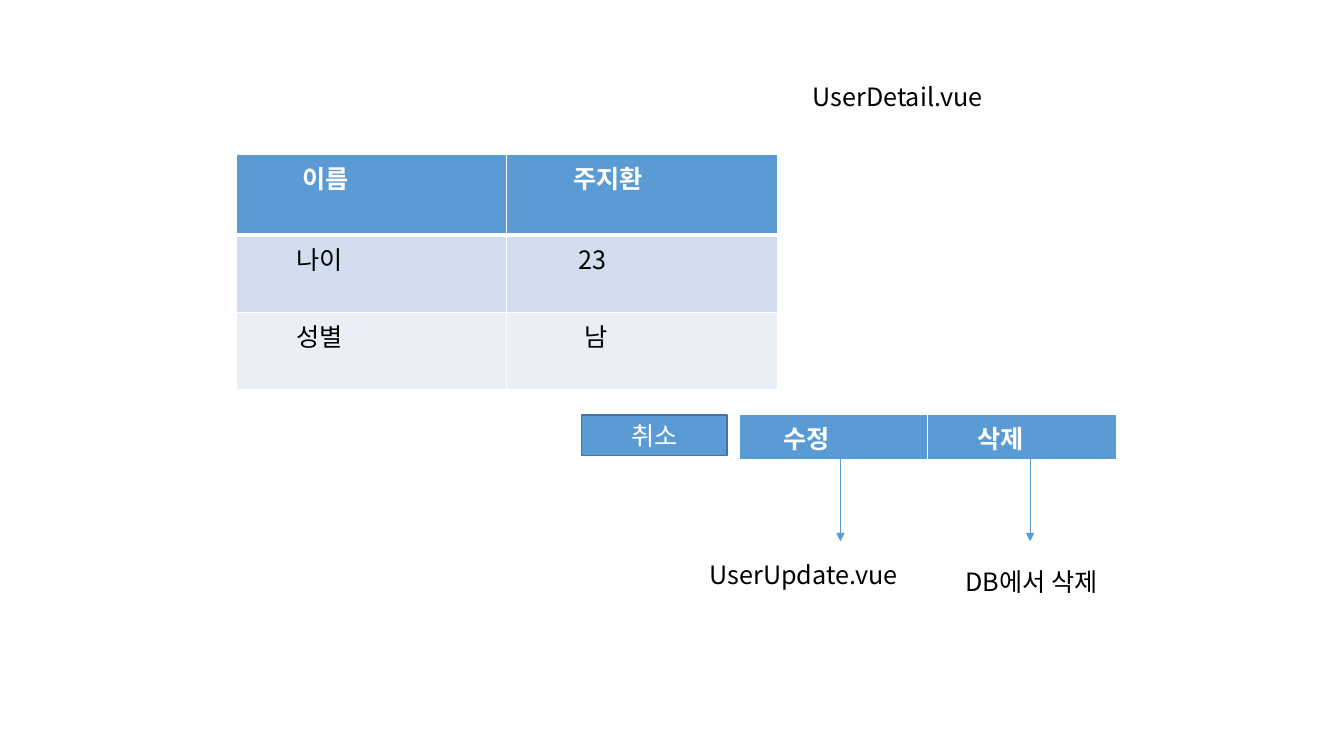
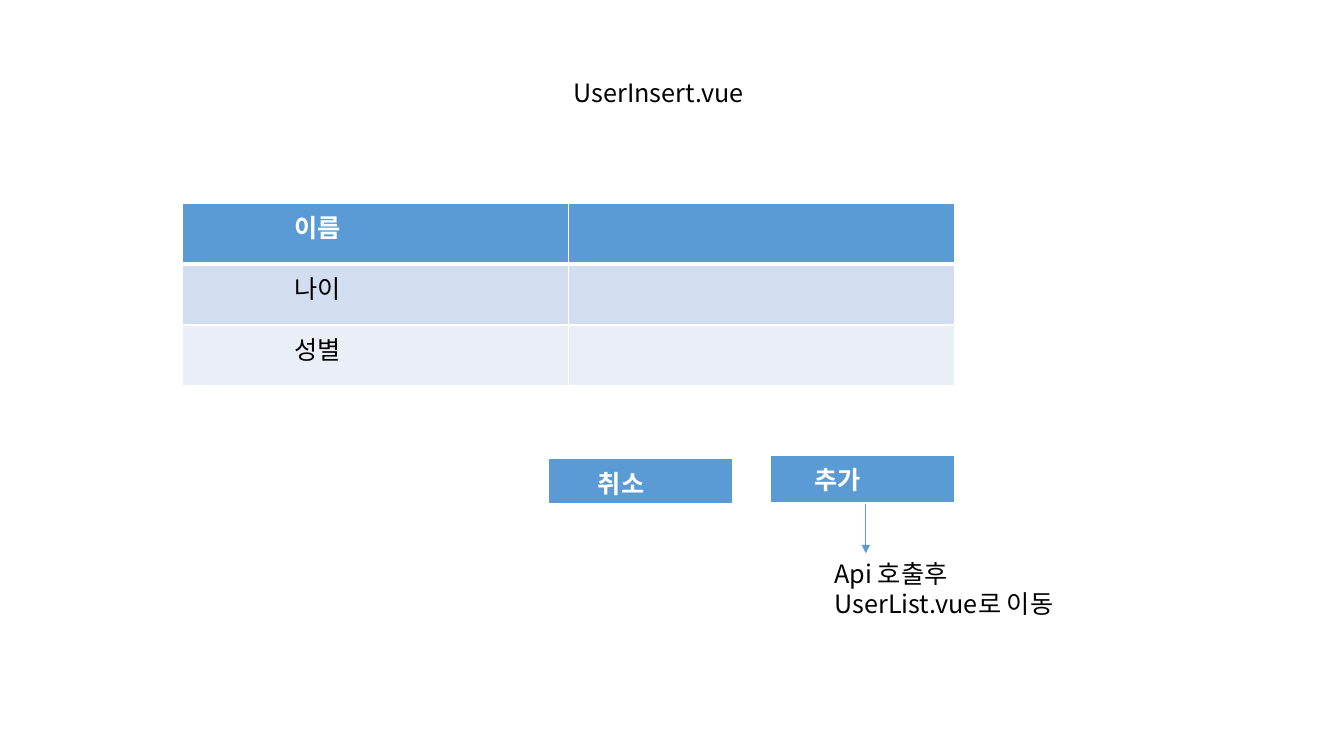
"""Builds two screen sketches: the user detail page and the user insert page."""
import lxml.etree
import pptx
import pptx.dml.color
import pptx.enum.shapes
import pptx.enum.text
import pptx.oxml.ns
import pptx.util

Cm, Pt = pptx.util.Cm, pptx.util.Pt
RGBColor = pptx.dml.color.RGBColor
ALIGN, ANCHOR = pptx.enum.text.PP_ALIGN, pptx.enum.text.MSO_ANCHOR
qn = pptx.oxml.ns.qn

FONT = "Noto Sans CJK KR"
BLUE = RGBColor(0x5B, 0x9B, 0xD5)
DARK_BLUE = RGBColor(0x43, 0x73, 0x9E)
PALE_BLUE = RGBColor(0xD2, 0xDE, 0xEF)
PALEST_BLUE = RGBColor(0xEA, 0xEF, 0xF7)
WHITE = RGBColor(0xFF, 0xFF, 0xFF)
BLACK = RGBColor(0, 0, 0)
ROW_FILLS = [BLUE, PALE_BLUE, PALEST_BLUE]

SCREENS = [
    {
        "title": ("UserDetail.vue", 20.22, 1.93, 5.74, 1.02),
        "grids": [
            {"at": (18.63, 10.45), "column": 4.75, "heights": [1.03],
             "rows": [[("수정", 1.11), ("삭제", 1.25)]]},
            {"at": (5.95, 3.89), "column": 6.82, "heights": [2.03, 1.95, 1.95],
             "rows": [[("이름", 1.68), ("주지환", 1.68)],
                      [("나이", 1.53), ("23", 1.82)],
                      [("성별", 1.53), ("남", 1.96)]]},
        ],
        "buttons": [("취소", 14.66, 10.46, 3.66, 1.02)],
        "arrows": [(25.96, 11.48, 13.64), (21.18, 11.48, 13.64)],
        "notes": [("DB에서 삭제", 24.08, 14.15, 5.74, 1.02),
                  ("UserUpdate.vue", 17.63, 13.97, 5.74, 1.02)],
    },
    {
        "title": ("UserInsert.vue", 14.2, 1.83, 10.57, 1.02),
        "grids": [
            {"at": (4.6, 5.13), "column": 9.73, "heights": [1.53, 1.53, 1.53],
             "rows": [[("이름", 2.81), ("", 0.25)],
                      [("나이", 2.81), ("", 0.25)],
                      [("성별", 2.81), ("", 0.25)]]},
            {"at": (19.41, 11.48), "column": 4.65, "heights": [1.22],
             "rows": [[("추가", 1.11)]]},
            {"at": (13.82, 11.56), "column": 4.65, "heights": [1.07],
             "rows": [[("취소", 1.25)]]},
        ],
        "buttons": [],
        "arrows": [(21.82, 12.7, 13.94)],
        "notes": [("Api 호출후 UserList.vue로 이동", 20.78, 13.94, 6.58, 1.8)],
    },
]


def write(frame, text, color=BLACK, bold=False, align=ALIGN.LEFT, anchor=ANCHOR.TOP):
    """Put one formatted paragraph into a text frame."""
    frame.word_wrap = True
    frame.vertical_anchor = anchor
    paragraph = frame.paragraphs[0]
    paragraph.alignment = align
    run = paragraph.add_run()
    run.text = text
    run.font.name, run.font.size = FONT, Pt(18)
    run.font.bold, run.font.color.rgb = bold, color
    east_asian = lxml.etree.SubElement(run.font._element, qn("a:ea"))
    east_asian.set("typeface", FONT)


def add_title(slide, text, *box):
    """Move the title placeholder and fill it."""
    title = slide.shapes.title
    title.left, title.top, title.width, title.height = map(Cm, box)
    title.text_frame.auto_size = pptx.enum.text.MSO_AUTO_SIZE.NONE
    write(title.text_frame, text)


def add_borders(cell, top, bottom):
    """Draw white cell borders; top and bottom are widths in points."""
    properties = cell._tc.get_or_add_tcPr()
    sides = [("a:lnL", 1), ("a:lnR", 1), ("a:lnT", top), ("a:lnB", bottom)]
    for position, (side, width) in enumerate(sides):
        border = lxml.etree.Element(qn(side), w=str(Pt(width)))
        fill = lxml.etree.SubElement(border, qn("a:solidFill"))
        lxml.etree.SubElement(fill, qn("a:srgbClr"), val=str(WHITE))
        properties.insert(position, border)


def add_grid(slide, at, column, heights, rows):
    """Add a table with a blue header row and pale body rows."""
    count = len(rows[0])
    table = slide.shapes.add_table(len(rows), count, Cm(at[0]), Cm(at[1]),
                                   Cm(column * count), Cm(sum(heights))).table
    table.horz_banding = False
    for r, (height, row) in enumerate(zip(heights, rows)):
        table.rows[r].height = Cm(height)
        for c, (text, indent) in enumerate(row):
            table.columns[c].width = Cm(column)
            cell = table.cell(r, c)
            cell.margin_left = Cm(indent)
            cell.fill.solid()
            cell.fill.fore_color.rgb = ROW_FILLS[r]
            add_borders(cell, top=3 if r == 1 else 1, bottom=3 if r == 0 else 1)
            if text:
                header = r == 0
                write(cell.text_frame, text, color=WHITE if header else BLACK, bold=header)


def add_button(slide, text, *box):
    """Add a blue button with a centred label."""
    button = slide.shapes.add_shape(pptx.enum.shapes.MSO_SHAPE.RECTANGLE, *map(Cm, box))
    button.shadow.inherit = False
    button.fill.solid()
    button.fill.fore_color.rgb = BLUE
    button.line.color.rgb, button.line.width = DARK_BLUE, Pt(1)
    write(button.text_frame, text, color=WHITE, align=ALIGN.CENTER, anchor=ANCHOR.MIDDLE)


def add_arrow(slide, x, top, bottom):
    """Add a thin arrow that points down."""
    arrow = slide.shapes.add_connector(pptx.enum.shapes.MSO_CONNECTOR.STRAIGHT,
                                       Cm(x), Cm(top), Cm(x), Cm(bottom))
    arrow.line.color.rgb, arrow.line.width = BLUE, Pt(0.5)
    lxml.etree.SubElement(arrow.line._get_or_add_ln(), qn("a:tailEnd"), type="triangle")
    lxml.etree.SubElement(arrow._element.spPr, qn("a:effectLst"))


def add_note(slide, text, *box):
    """Add a plain text note."""
    write(slide.shapes.add_textbox(*map(Cm, box)).text_frame, text)


deck = pptx.Presentation()
deck.slide_width, deck.slide_height = Cm(33.87), Cm(19.05)
for screen in SCREENS:
    slide = deck.slides.add_slide(deck.slide_layouts.get_by_name("Title Only"))
    add_title(slide, *screen["title"])
    for grid in screen["grids"]:
        add_grid(slide, **grid)
    for add, part in [(add_button, "buttons"), (add_arrow, "arrows"), (add_note, "notes")]:
        for entry in screen[part]:
            add(slide, *entry)
deck.save("out.pptx")
